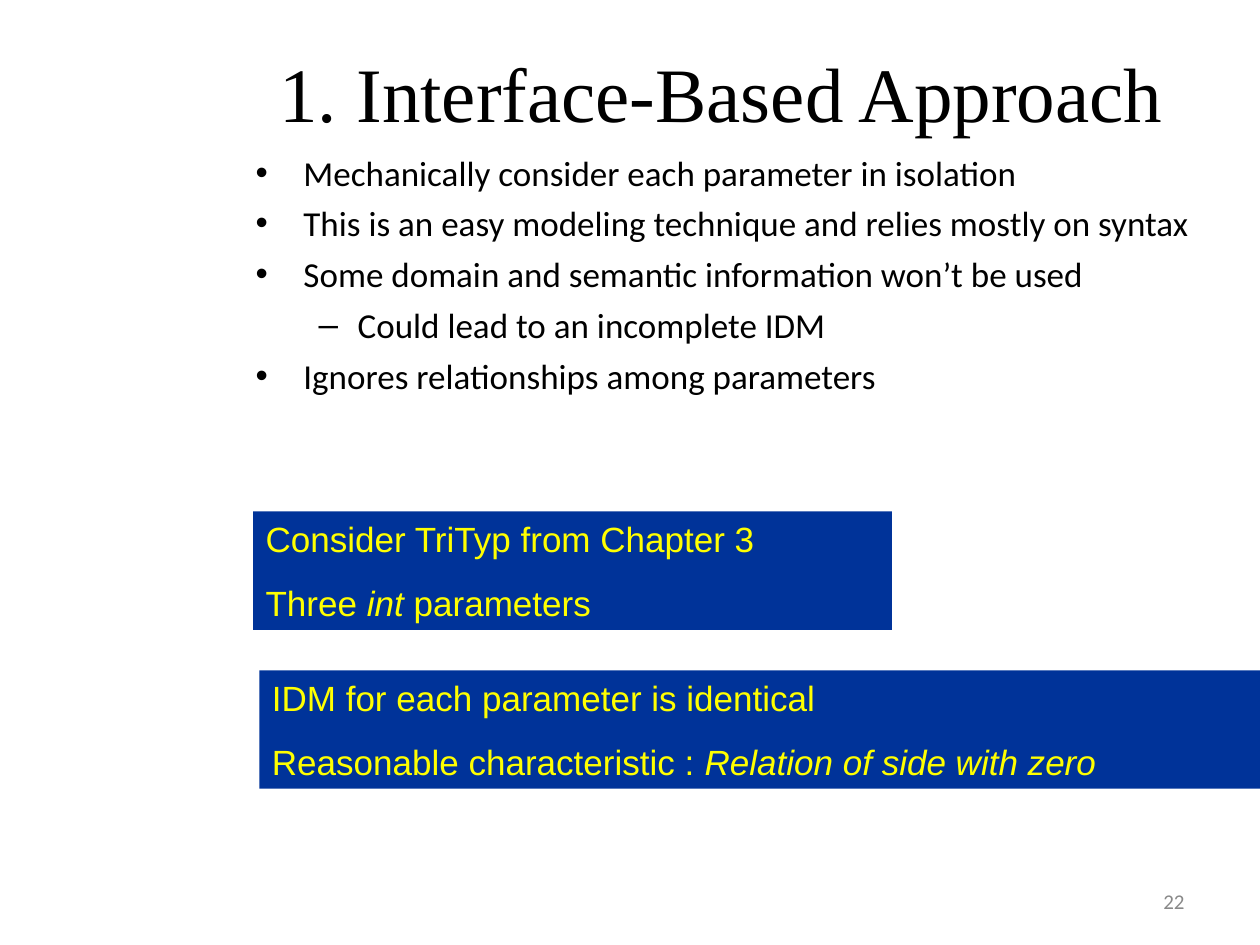
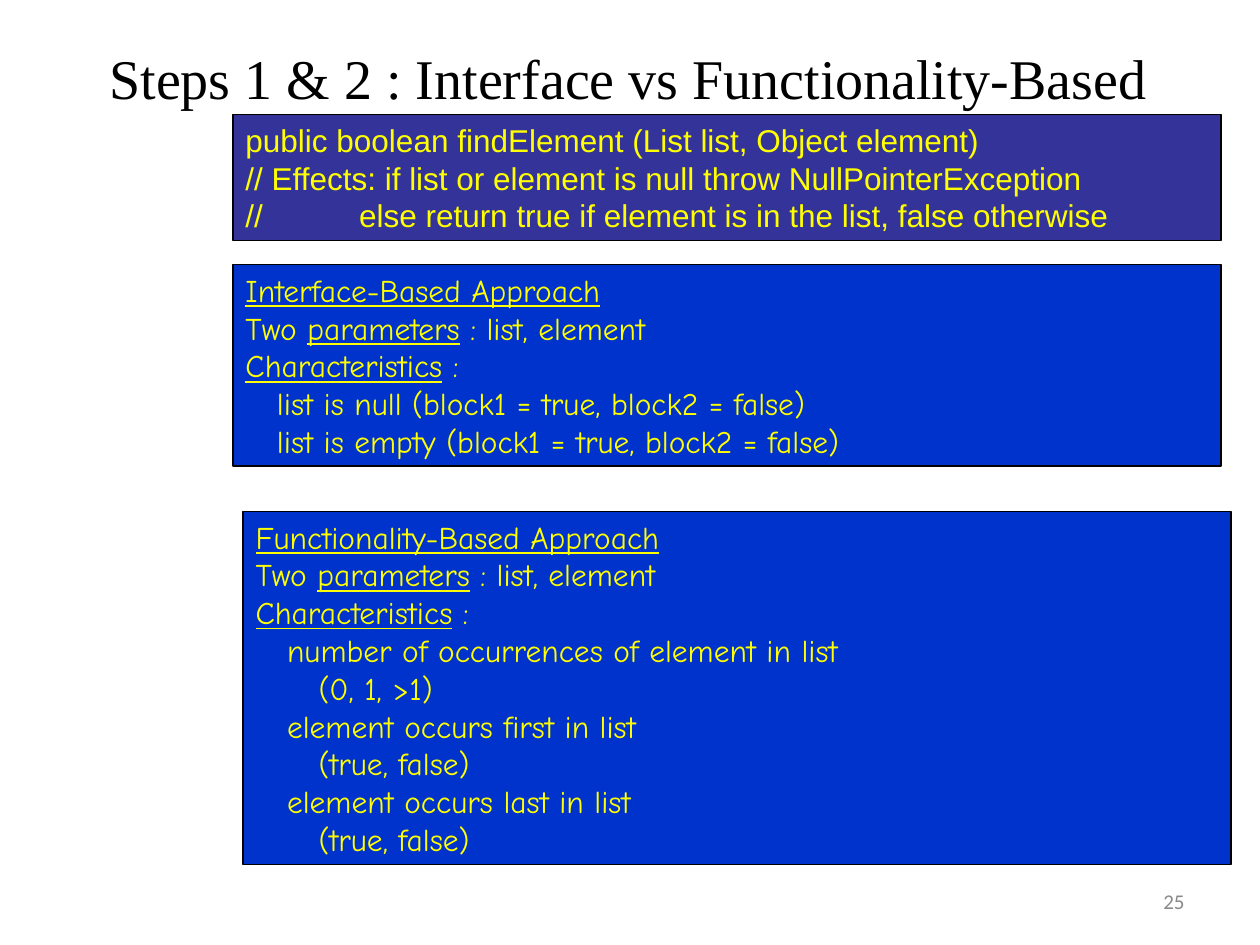
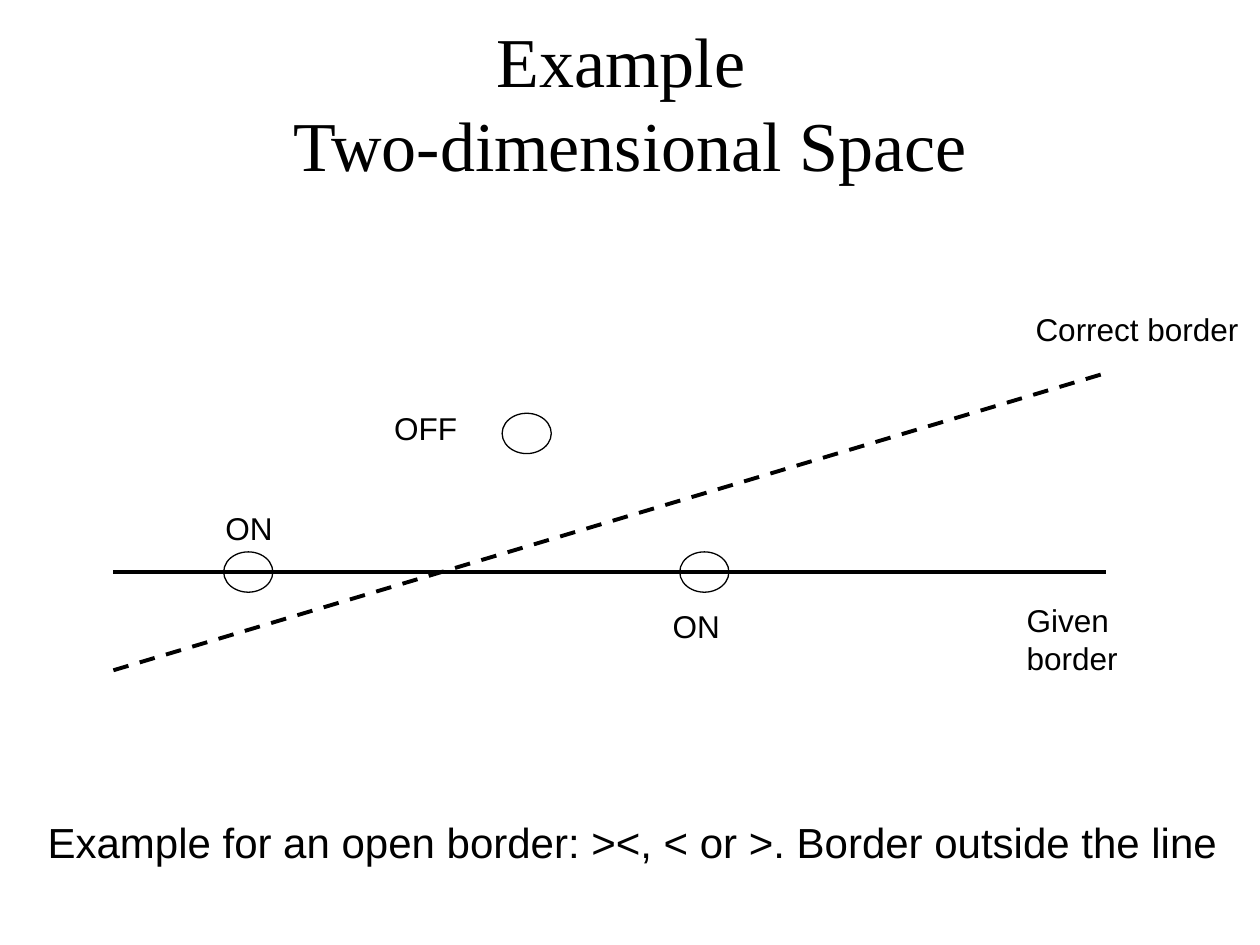
from lxml import etree
from pptx import Presentation
from pptx.dml.color import RGBColor
from pptx.enum.dml import MSO_LINE
from pptx.enum.shapes import MSO_CONNECTOR, MSO_SHAPE
from pptx.enum.text import MSO_ANCHOR, PP_ALIGN
from pptx.oxml.ns import qn
from pptx.util import Inches, Pt

BLACK = RGBColor(0x00, 0x00, 0x00)
GREY = RGBColor(0x89, 0x89, 0x89)
YELLOW = RGBColor(0xFF, 0xFF, 0x00)
NAVY = RGBColor(0x00, 0x33, 0x99)
INDIGO = RGBColor(0x33, 0x33, 0x99)
BLUE = RGBColor(0x00, 0x33, 0xCC)

TITLE_FONT, BODY_FONT = "Times New Roman", "Calibri"
PANEL_FONT, APPROACH_FONT = "Arial", "Comic Neue"

LEFT, CENTER, RIGHT = PP_ALIGN.LEFT, PP_ALIGN.CENTER, PP_ALIGN.RIGHT
TOP, MIDDLE = MSO_ANCHOR.TOP, MSO_ANCHOR.MIDDLE
RECTANGLE, OVAL = MSO_SHAPE.RECTANGLE, MSO_SHAPE.OVAL
STRAIGHT, DASH = MSO_CONNECTOR.STRAIGHT, MSO_LINE.DASH

# Bullet, left margin and hanging indent (inches) for each outline level
BULLETS = [("•", 0.38, -0.38), ("–", 0.81, -0.31)]
LEVEL_STEP = 0.25
POINT_WIDTH, POINT_HEIGHT = 0.39, 0.32


def set_indent(paragraph, level, bulleted):
    properties = paragraph._p.get_or_add_pPr()
    if not bulleted:
        properties.set("marL", str(Inches(LEVEL_STEP * level)))
        return
    bullet, margin, hanging = BULLETS[level]
    properties.set("marL", str(Inches(margin)))
    properties.set("indent", str(Inches(hanging)))
    etree.SubElement(properties, qn("a:buFont")).set("typeface", "Arial")
    etree.SubElement(properties, qn("a:buChar")).set("char", bullet)


def write(shape, lines, *, size, font, color=BLACK, align=LEFT, anchor=TOP, wrap=True,
          space=0, emphasis="italic", bulleted=False):
    """Fill shape with lines: each a text or (level, text); *text* takes the emphasis."""
    frame = shape.text_frame
    frame.word_wrap = wrap
    frame.vertical_anchor = anchor
    for number, line in enumerate(lines):
        level, text = line if isinstance(line, tuple) else (0, line)
        paragraph = frame.paragraphs[0] if number == 0 else frame.add_paragraph()
        set_indent(paragraph, level, bulleted)
        paragraph.alignment = align
        paragraph.space_before = Pt(space if number else 0)
        for row, row_text in enumerate(text.split("\n")):
            if row:
                paragraph.add_line_break()
            for part, piece in enumerate(row_text.split("*")):
                if not piece:
                    continue
                run = paragraph.add_run()
                run.text = piece
                run.font.size = Pt(size)
                run.font.name = font
                run.font.color.rgb = color
                if part % 2:
                    setattr(run.font, emphasis, True)


def add_text(slide, box, lines, **text_format):
    write(slide.shapes.add_textbox(*map(Inches, box)), lines, **text_format)


def add_title(slide, box, text, size):
    add_text(slide, box, [text], size=size, font=TITLE_FONT, align=CENTER, anchor=MIDDLE)


def add_page_number(slide, number):
    add_text(slide, (7.17, 6.95, 2.33, 0.4), [number], size=12, font=BODY_FONT,
             color=GREY, align=RIGHT, anchor=MIDDLE)


def add_outlined(slide, kind, box, fill=None, outlined=True):
    shape = slide.shapes.add_shape(kind, *map(Inches, box))
    shape.shadow.inherit = False
    if fill is None:
        shape.fill.background()
    else:
        shape.fill.solid()
        shape.fill.fore_color.rgb = fill
    if outlined:
        shape.line.color.rgb = BLACK
        shape.line.width = Pt(0.75)
    else:
        shape.line.fill.background()
    return shape


def add_panel(slide, box, lines, fill, outlined=True, font=PANEL_FONT, **text_format):
    panel = add_outlined(slide, RECTANGLE, box, fill, outlined)
    write(panel, lines, font=font, color=YELLOW, **text_format)


def add_approach(slide, box, name, characteristics):
    lines = [f"*{name}-Based Approach*", "Two *parameters* : list, element",
             "*Characteristics* :", *characteristics]
    add_panel(slide, box, lines, BLUE, font=APPROACH_FONT, size=18, emphasis="underline")


def add_border(slide, start, end, dash=None):
    border = slide.shapes.add_connector(STRAIGHT, *map(Inches, start + end))
    border.line.color.rgb = BLACK
    border.line.width = Pt(2.25)
    if dash:
        border.line.dash_style = dash
    etree.SubElement(border._element.spPr, qn("a:effectLst"))


def add_border_diagram(slide, left, top, width, height):
    """Draw both borders and the test points inside the given box."""
    right, given_y = left + width, top + 1.58
    add_border(slide, (left, given_y), (right, given_y))
    add_border(slide, (left, top + height), (right, top), DASH)
    for x, y in [(3.28, 0.48), (4.69, 1.58), (1.07, 1.58)]:
        add_outlined(slide, OVAL, (left + x - POINT_WIDTH / 2, top + y - POINT_HEIGHT / 2,
                                   POINT_WIDTH, POINT_HEIGHT))
    for text, x, y, label_width in [("Correct border", 7.22, -0.55, 1.88),
                                    ("Given border", 7.15, 1.76, 1.64),
                                    ("OFF", 2.13, 0.24, 0.8),
                                    ("ON", 0.79, 1.03, 0.64),
                                    ("ON", 4.34, 1.81, 0.64)]:
        add_text(slide, (left + x, top + y, label_width, 0.4), [text], size=18,
                 font=PANEL_FONT, wrap=text == "OFF")


def build_interface_slide(slide):
    add_page_number(slide, "22")
    add_title(slide, (1.95, 0.3, 7.55, 0.85), "1. Interface-Based Approach", 44)
    add_text(slide, (1.93, 1.15, 8.39, 3.12), [
        "Mechanically consider each parameter in isolation",
        "This is an easy modeling technique and relies mostly on syntax",
        "Some domain and semantic information won’t be used",
        (1, "Could lead to an incomplete IDM"),
        "Ignores relationships among parameters",
    ], size=20, font=BODY_FONT, space=5, bulleted=True)
    for box, lines in [
        ((2.01, 4.06, 5.07, 0.94),
         ["Consider TriTyp from Chapter 3", "Three *int* parameters"]),
        ((2.06, 5.32, 7.94, 0.94),
         ["IDM for each parameter is identical",
          "Reasonable characteristic : *Relation of side with zero*"]),
    ]:
        add_panel(slide, box, lines, NAVY, outlined=False, size=20, space=12.5)


def build_comparison_slide(slide):
    add_page_number(slide, "25")
    add_title(slide, (0.48, 0.11, 9.02, 1),
              "Steps 1 & 2 : Interface vs Functionality-Based", 32)
    add_panel(slide, (1.85, 0.91, 7.84, 1), [
        "public boolean findElement (List list, Object element)",
        "// Effects: if list or element is null throw NullPointerException",
        "//           else return true if element is in the list, false otherwise",
    ], INDIGO, size=18)
    add_approach(slide, (1.85, 2.1, 7.84, 1.6), "Interface", [
        (1, "list is null (block1 = true, block2 = false)"),
        (1, "list is empty (block1 = true, block2 = false)"),
    ])
    add_approach(slide, (1.93, 4.06, 7.84, 2.8), "Functionality", [
        (1, "number of occurrences of element in list"),
        (2, "(0, 1, >1)"),
        (1, "element occurs first in list"),
        (2, "(true, false)"),
        (1, "element occurs last in list"),
        (2, "(true, false)"),
    ])


def build_example_slide(slide):
    add_title(slide, (0.5, 0.3, 9, 1.01), "Example \nTwo-dimensional Space", 40)
    add_border_diagram(slide, 0.9, 2.96, 7.88, 2.36)
    add_text(slide, (0.28, 6.43, 9.57, 0.5),
             ["Example for an open border: ><, < or >. Border outside the line"],
             size=24, font=PANEL_FONT, wrap=False)


def main():
    deck = Presentation()
    deck.slide_width, deck.slide_height = Inches(10), Inches(7.5)
    blank = deck.slide_layouts[6]
    for build in (build_interface_slide, build_comparison_slide, build_example_slide):
        build(deck.slides.add_slide(blank))
    deck.save("out.pptx")


if __name__ == "__main__":
    main()
